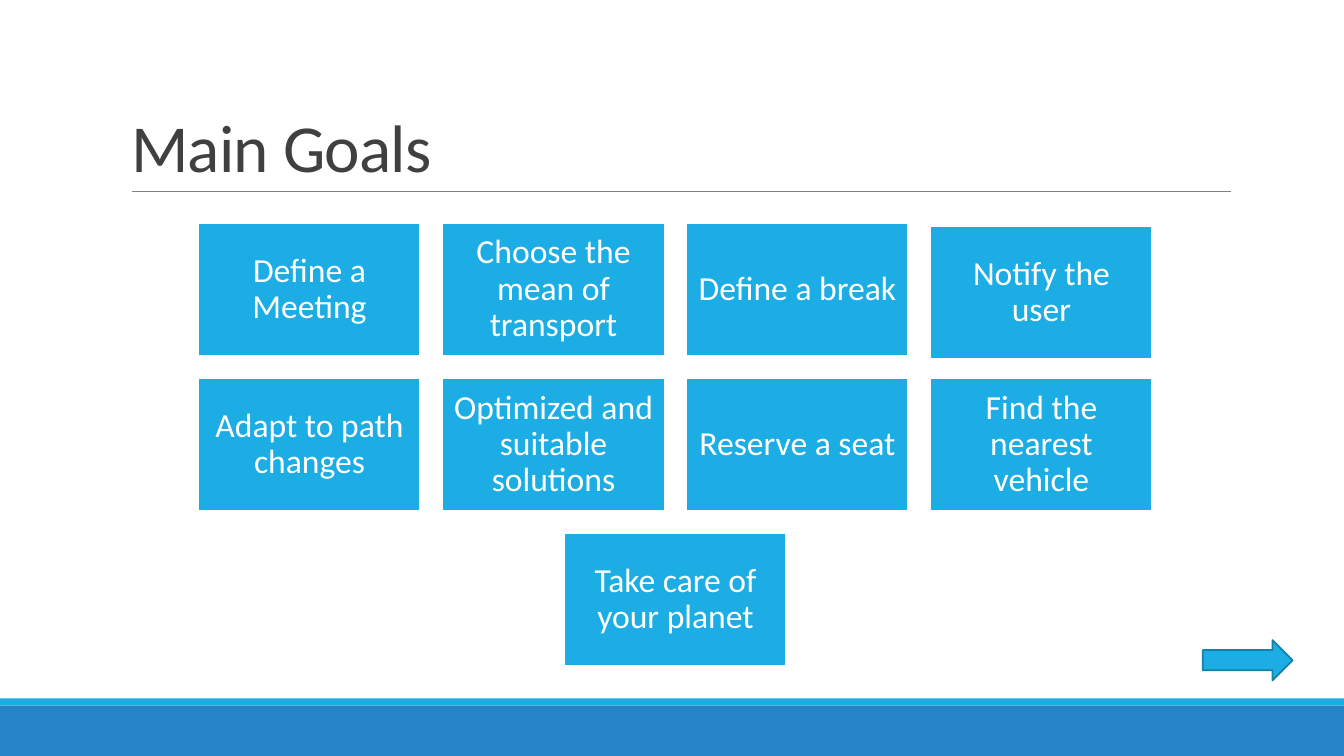
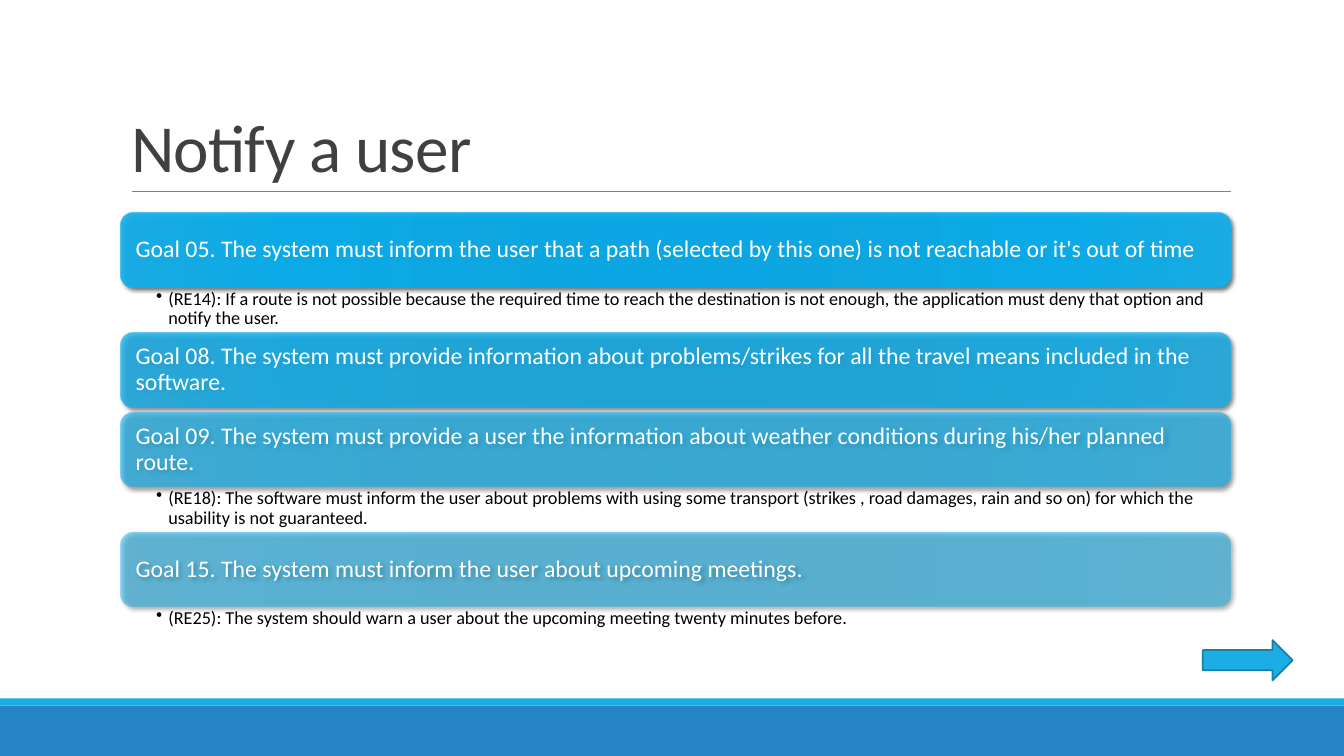
from pptx import Presentation
from pptx.dml.color import RGBColor
from pptx.enum import shapes, text
from pptx.oxml import parse_xml
from pptx.oxml.ns import nsdecls, qn
from pptx.util import Inches, Pt

COLOURS = {
    "accent": "1CADE4", "band": "2683C6", "arrow edge": "1580A9",
    "rule": "808080", "title": "404040", "white": "FFFFFF", "black": "000000",
}
GLOW = [(0, "00ADEF"), (34, "03ADEE"), (70, "00B1F5"), (100, "12B1EE")]
FONT = "Calibri"
RECTANGLE = shapes.MSO_SHAPE.RECTANGLE
MIDDLE = text.MSO_ANCHOR.MIDDLE

TILES = [
    ["Define a Meeting", "Choose the mean of transport", "Define a break", "Notify the user"],
    ["Adapt to path changes", "Optimized and suitable solutions", "Reserve a seat",
     "Find the nearest vehicle"],
    ["Take care of your planet"],
]
GOALS = [
    ("Goal 05. The system must inform the user that a path (selected by this one) is not "
     "reachable or it's out of time", 90,
     "(RE14): If a route is not possible because the required time to reach the destination "
     "is not enough, the application must deny that option and notify the user."),
    ("Goal 08. The system must provide information about problems/strikes for all the travel "
     "means included in the software.", 77, None),
    ("Goal 09. The system must provide a user the information about weather conditions during "
     "his/her planned route.", 63,
     "(RE18): The software must inform the user about problems with using some transport "
     "(strikes , road damages, rain and so on) for which the usability is not guaranteed."),
    ("Goal 15. The system must inform the user about upcoming meetings.", 50,
     "(RE25): The system should warn a user about the upcoming meeting twenty minutes before."),
]


def colour(name):
    return RGBColor.from_string(COLOURS[name])


def assign(target, **values):
    for name, value in values.items():
        setattr(target, name, value)


class Builder:
    def __init__(self):
        self.deck = Presentation()
        assign(self.deck, slide_width=Inches(13.33), slide_height=Inches(7.5))
        self.page = None

    def start(self, heading):
        """Open a slide with the bands, rule, title and arrow that all slides share."""
        self.page = self.deck.slides.add_slide(self.deck.slide_layouts[5])
        self.shape(RECTANGLE, 0, 7, 13.33, 0.5, "band")
        self.shape(RECTANGLE, 0, 6.93, 13.33, 0.07, "accent")
        self.rule(1.31, 1.9, 12.21)
        title = self.page.shapes.title
        assign(title, left=Inches(1.2), top=Inches(0.31), width=Inches(11), height=Inches(1.59))
        para = self.label(title, heading, 48, "title", (0.1, 0.05, 0.1, 0.05),
                          anchor=text.MSO_ANCHOR.BOTTOM, spacing=0.85)
        para.runs[0]._r.get_or_add_rPr().set("spc", "-50")
        self.shape(shapes.MSO_SHAPE.RIGHT_ARROW, 11.93, 6.35, 0.89, 0.4, "accent", "arrow edge")

    def shape(self, kind, left, top, width, height, fill=None, edge=None):
        box = self.page.shapes.add_shape(
            kind, Inches(left), Inches(top), Inches(width), Inches(height))
        box.shadow.inherit = False
        if fill:
            box.fill.solid()
            box.fill.fore_color.rgb = colour(fill)
        else:
            box.fill.background()
        if edge:
            box.line.color.rgb = colour(edge)
            box.line.width = Pt(1.25)
        else:
            box.line.fill.background()
        return box

    def rule(self, left, top, right):
        line = self.page.shapes.add_connector(
            shapes.MSO_CONNECTOR.STRAIGHT, Inches(left), Inches(top), Inches(right), Inches(top))
        line.line.color.rgb = colour("rule")
        line.line.width = Pt(0.5)
        line._element.spPr.append(parse_xml(f"<a:effectLst {nsdecls('a')}/>"))

    def label(self, box, words, size, ink, insets, anchor=MIDDLE,
              align=text.PP_ALIGN.LEFT, spacing=0.9):
        frame = box.text_frame
        left, top, right, bottom = map(Inches, insets)
        assign(frame, word_wrap=True, auto_size=text.MSO_AUTO_SIZE.NONE, vertical_anchor=anchor,
               margin_left=left, margin_top=top, margin_right=right, margin_bottom=bottom)
        para = frame.paragraphs[0]
        assign(para, alignment=align, line_spacing=spacing)
        span = para.add_run()
        span.text = words
        assign(span.font, name=FONT, size=Pt(size))
        span.font.color.rgb = colour(ink)
        return para

    def tile(self, words, left, top):
        box = self.shape(RECTANGLE, left, top, 2.2, 1.32, "accent", "white")
        self.label(box, words, 24, "white", (0.1,) * 4, align=text.PP_ALIGN.CENTER)

    def goal(self, words, opacity, top, height):
        """Add a rounded bar with a translucent gradient and a soft shadow."""
        bar = self.shape(shapes.MSO_SHAPE.ROUNDED_RECTANGLE, 1.2, top, 11, height)
        stops = "".join(
            f'<a:gs pos="{place * 1000}"><a:srgbClr val="{tint}">'
            f'<a:alpha val="{opacity * 1000}"/></a:srgbClr></a:gs>' for place, tint in GLOW)
        properties = bar._element.spPr
        properties.replace(properties.find(qn("a:noFill")), parse_xml(
            f'<a:gradFill {nsdecls("a")} rotWithShape="1"><a:gsLst>{stops}</a:gsLst>'
            '<a:path path="circle"><a:fillToRect l="100000" t="100000" r="100000" b="100000"/>'
            '</a:path></a:gradFill>'))
        properties.find(qn("a:effectLst")).append(parse_xml(
            f'<a:outerShdw {nsdecls("a")} blurRad="{Pt(3)}" dist="{Pt(2)}" dir="2700000" '
            f'rotWithShape="0"><a:srgbClr val="{COLOURS["black"]}"><a:alpha val="60000"/>'
            '</a:srgbClr></a:outerShdw>'))
        self.label(bar, words, 17, "white", (0.11,) * 4)

    def requirement(self, words, top, height):
        box = self.page.shapes.add_textbox(Inches(1.2), Inches(top), Inches(11), Inches(height))
        para = self.label(box, words, 13, "black", (0.35, 0.02, 0.13, 0.02),
                          anchor=text.MSO_ANCHOR.TOP)
        layout = para._p.get_or_add_pPr()
        layout.set("marL", str(Inches(0.12)))
        layout.set("indent", str(Inches(-0.12)))
        layout.append(parse_xml(f'<a:buChar {nsdecls("a")} char="•"/>'))


def main_goals(builder):
    builder.start("Main Goals")
    column_step, row_step = 2.42, 1.54
    for row, names in enumerate(TILES):
        first = 5.6 - column_step * (len(names) - 1) / 2
        for column, name in enumerate(names):
            drop = 0.03 if name == "Notify the user" else 0
            builder.tile(name, first + column * column_step, 2.21 + row * row_step + drop)


def notify_user(builder):
    builder.start("Notify a user")
    top, bar, detail, gap = 2.11, 0.74, 0.45, 0.05
    for goal, opacity, requirement in GOALS:
        builder.goal(goal, opacity, top, bar)
        top += bar
        if requirement:
            builder.requirement(requirement, top, detail)
        top += detail if requirement else gap


def main():
    builder = Builder()
    main_goals(builder)
    notify_user(builder)
    builder.deck.save("out.pptx")


if __name__ == "__main__":
    main()
